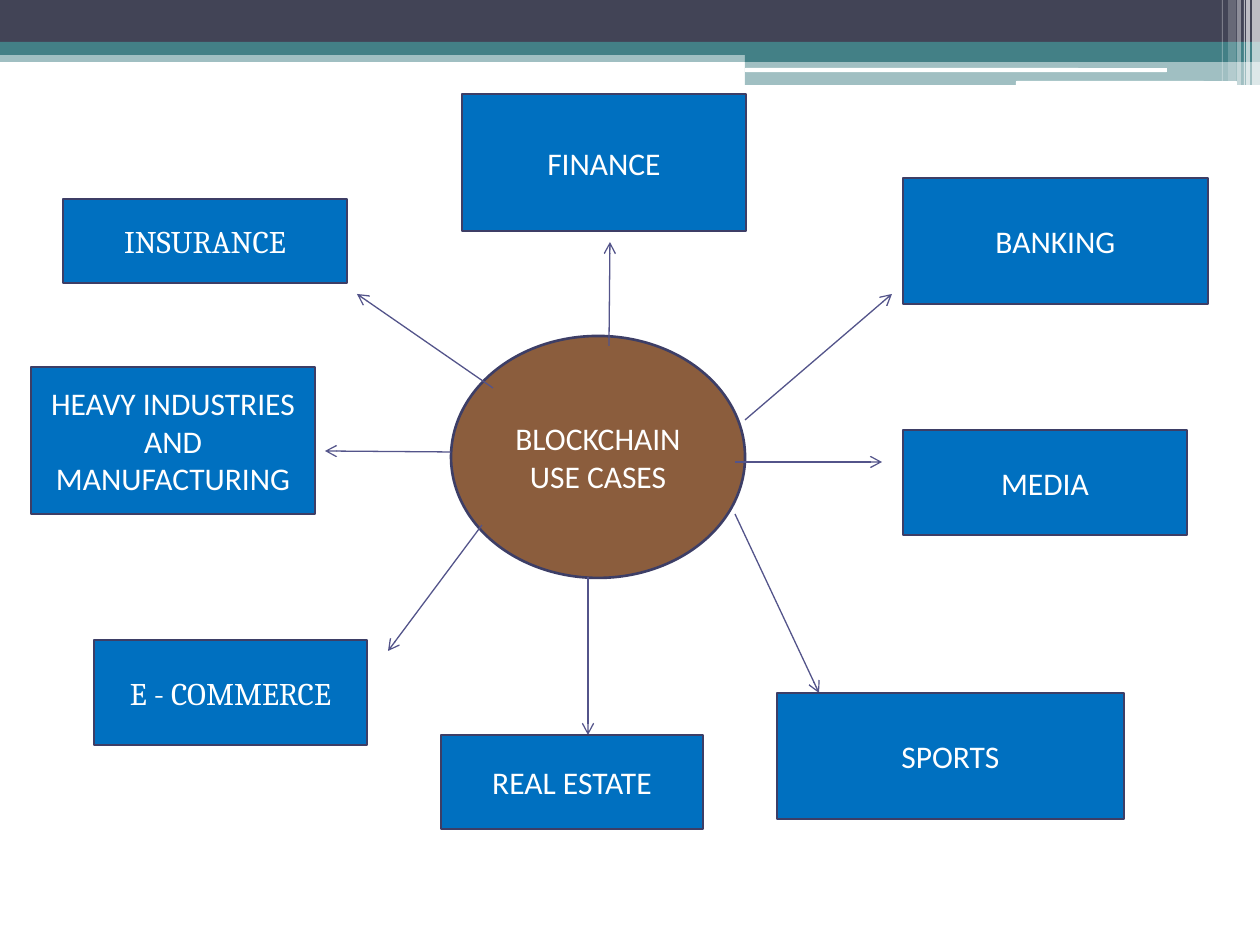
from lxml import etree
from pptx import Presentation
from pptx import util as u
from pptx.dml.color import RGBColor
from pptx.enum import shapes, text
from pptx.oxml import ns

PX = 914400 / 126
RECT = shapes.MSO_SHAPE.RECTANGLE
ROUND = shapes.MSO_SHAPE.ROUNDED_RECTANGLE
OVAL = shapes.MSO_SHAPE.OVAL


def px(n):
    return u.Emu(round(n * PX))


def rgb(value):
    return RGBColor.from_string(value)


class Deck:
    navy, teal, white = "424456", "438086", "FFFFFF"
    blue, brown, edge, arrow_color = "0070C0", "8B5D3D", "3D3E66", "53548A"
    size = 18

    def __init__(self, width, height):
        self.prs = Presentation()
        self.prs.slide_width, self.prs.slide_height = px(width), px(height)
        self.slide = self.prs.slides.add_slide(self.prs.slide_layouts[6])

    def shape(self, kind, at, color):
        sp = self.slide.shapes.add_shape(kind, *map(px, at))
        sp.shadow.inherit = False
        sp.fill.solid()
        sp.fill.fore_color.rgb = rgb(color)
        return sp

    def band(self, at, color, alpha=100, kind=RECT):
        sp = self.shape(kind, at, color)
        sp.line.fill.background()
        if alpha < 100:
            clr = sp.fill._xPr.find(".//" + ns.qn("a:srgbClr"))
            etree.SubElement(clr, ns.qn("a:alpha"), val=str(alpha * 1000))

    def box(self, at, lines, font="Calibri", kind=RECT, color=blue):
        sp = self.shape(kind, at, color)
        sp.line.color.rgb = rgb(self.edge)
        sp.line.width = u.Pt(1.5)
        tf = sp.text_frame
        tf.word_wrap = True
        tf.vertical_anchor = text.MSO_ANCHOR.MIDDLE
        for i, line in enumerate(lines):
            p = tf.add_paragraph() if i else tf.paragraphs[0]
            p.alignment = text.PP_ALIGN.CENTER
            r = p.add_run()
            r.text = line
            r.font.name = font
            r.font.size = u.Pt(self.size)
            r.font.color.rgb = rgb(self.white)

    def arrow(self, *ends):
        line = self.slide.shapes.add_connector(
            shapes.MSO_CONNECTOR.STRAIGHT, *map(px, ends))
        line.line.color.rgb = rgb(self.arrow_color)
        line.line.width = u.Pt(0.75)
        ln = line.line._get_or_add_ln()
        etree.SubElement(ln, ns.qn("a:tailEnd"), type="arrow")
        etree.SubElement(ln.getparent(), ns.qn("a:effectLst"))


def main():
    deck = Deck(1260, 945)

    for at, color, alpha in [
        ((0, 50, 1260, 12), deck.teal, 50),
        ((0, 0, 1260, 42), deck.navy, 100),
        ((0, 42, 1260, 13), deck.teal, 100),
        ((745, 49, 515, 13), deck.teal, 100),
        ((745, 61, 515, 24), deck.teal, 50),
    ]:
        deck.band(at, color, alpha)

    for at in [(745, 68, 422, 4), (1016, 81, 221, 5)]:
        deck.band(at, deck.white, kind=ROUND)

    for left, width, height, alpha in [
        (1252, 8, 86, 65), (1246, 4, 86, 65), (1244, 1, 86, 60),
        (1237, 4, 86, 40), (1228, 8, 81, 20), (1222, 1, 81, 30),
    ]:
        deck.band((left, 0, width, height), deck.white, alpha)

    deck.box((451, 336, 294, 242), ["BLOCKCHAIN", "USE CASES"],
             kind=OVAL, color=deck.brown)

    for ends in [
        (609, 346, 610, 242), (493, 388, 357, 294), (745, 420, 892, 294),
        (735, 514, 819, 693), (588, 577, 588, 735), (482, 525, 388, 651),
        (451, 452, 325, 451), (735, 462, 882, 462),
    ]:
        deck.arrow(*ends)

    for at, label, font in [
        ((63, 199, 284, 84), "INSURANCE", "Cambria"),
        ((94, 640, 273, 105), "E - COMMERCE", "Cambria"),
        ((441, 735, 262, 94), "REAL ESTATE", "Calibri"),
        ((777, 693, 347, 126), "SPORTS", "Calibri"),
        ((903, 178, 305, 126), "BANKING", "Calibri"),
        ((462, 94, 284, 137), "FINANCE", "Calibri"),
        ((31, 367, 284, 147), "HEAVY INDUSTRIES AND MANUFACTURING", "Calibri"),
        ((903, 430, 284, 105), "MEDIA", "Calibri"),
    ]:
        deck.box(at, [label], font)

    deck.prs.save("out.pptx")


if __name__ == "__main__":
    main()
